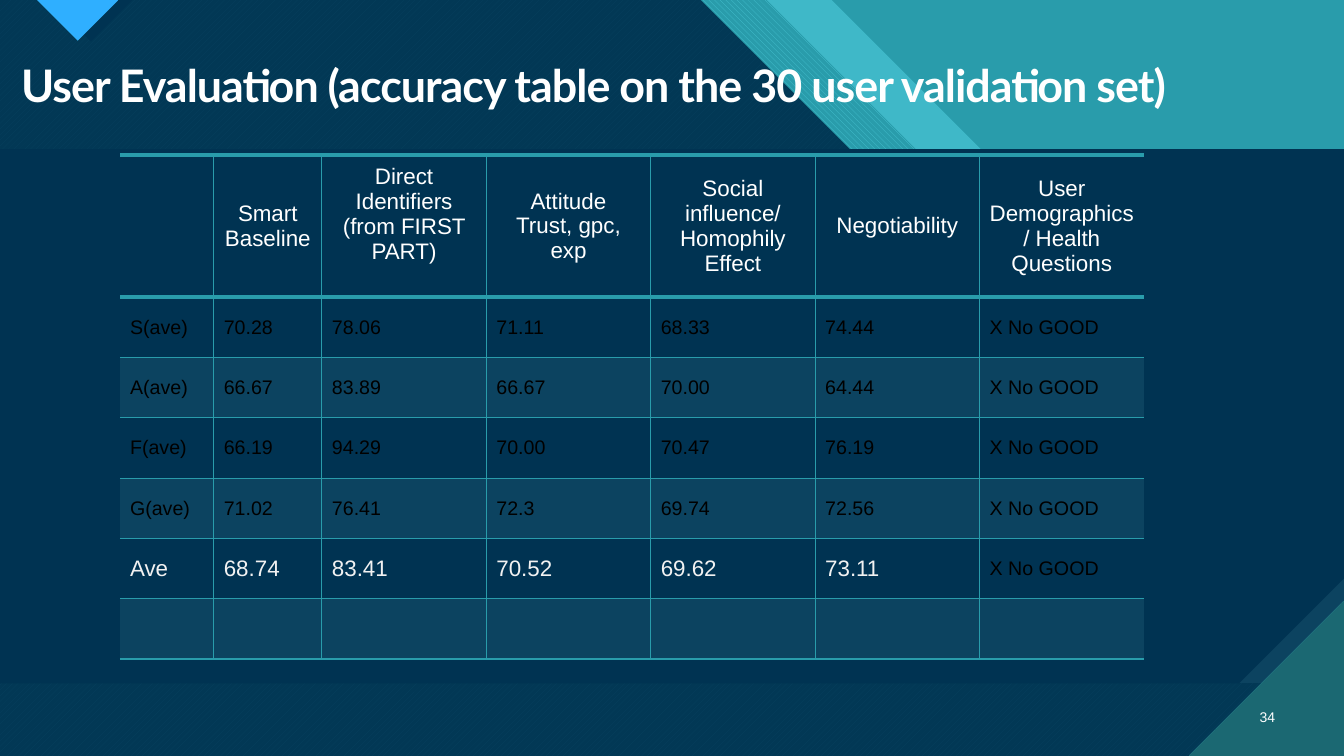
from lxml.etree import SubElement
from pptx import Presentation
from pptx.dml.color import RGBColor
from pptx.enum.dml import MSO_PATTERN
from pptx.enum.shapes import MSO_SHAPE
from pptx.enum.text import MSO_ANCHOR, PP_ALIGN
from pptx.oxml.ns import qn
from pptx.util import Pt

WIDTH, HEIGHT = 960, 540
STEP_DEPTH = 214
PANEL_TOP, PANEL_HEIGHT = 106.5, 381.6

TEAL = RGBColor(0x29, 0x9C, 0xAB)
AQUA = RGBColor(0x47, 0xC3, 0xD3)
PINE = RGBColor(0x1B, 0x68, 0x72)
NAVY = RGBColor(0x00, 0x33, 0x52)
SLATE = RGBColor(0x0C, 0x43, 0x60)
SKY = RGBColor(0x2F, 0xAF, 0xFF)
WHITE = RGBColor(0xFF, 0xFF, 0xFF)
PALE = RGBColor(0xF2, 0xF2, 0xF2)
BLACK = RGBColor(0, 0, 0)

COLUMN_WIDTHS = [67, 77.25] + [117.45] * 5
HEADER_HEIGHT, ROW_HEIGHT = 96.5, 43.1
HEADERS = [
    "",
    "Smart\nBaseline",
    "Direct Identifiers\n(from FIRST PART)",
    "Attitude\nTrust, gpc, exp",
    "Social influence/\nHomophily Effect",
    "Negotiability",
    "User Demographics/ Health Questions",
]
NO_GOOD = "X No GOOD"
ACCURACY = [
    ["S(ave)", "70.28", "78.06", "71.11", "68.33", "74.44", NO_GOOD],
    ["A(ave)", "66.67", "83.89", "66.67", "70.00", "64.44", NO_GOOD],
    ["F(ave)", "66.19", "94.29", "70.00", "70.47", "76.19", NO_GOOD],
    ["G(ave)", "71.02", "76.41", "72.3", "69.74", "72.56", NO_GOOD],
    ["Ave", "68.74", "83.41", "70.52", "69.62", "73.11", NO_GOOD],
    [""] * 7,
]


def paint(shape, color, back=None, pattern=None, opacity=100):
    """Fill a shape with a plain, patterned or see-through colour, without line or shadow."""
    shape.shadow.inherit = False
    shape.line.fill.background()
    if pattern is None:
        shape.fill.solid()
    else:
        shape.fill.patterned()
        shape.fill.pattern = pattern
        shape.fill.back_color.rgb = back
    shape.fill.fore_color.rgb = color
    if opacity < 100:
        tint = shape.element.spPr.find(".//" + qn("a:srgbClr"))
        SubElement(tint, qn("a:alpha"), val=str(opacity * 1000))


def add_polygon(page, corners, color, **fill):
    """Draw a closed outline through corners given in points."""
    first, *others = [(Pt(x), Pt(y)) for x, y in corners]
    builder = page.shapes.build_freeform(*first, scale=1.0)
    builder.add_line_segments(others, close=True)
    paint(builder.convert_to_shape(), color, **fill)


def add_stepped_layer(page, top_end, step_end, color, **fill):
    """Cover the page left of a 45 degree edge that has one level step."""
    corners = [
        (0, 0),
        (top_end, 0),
        (top_end + STEP_DEPTH, STEP_DEPTH),
        (step_end, STEP_DEPTH),
        (WIDTH, STEP_DEPTH + WIDTH - step_end),
        (WIDTH, HEIGHT),
        (0, HEIGHT),
    ]
    add_polygon(page, corners, color, **fill)


def add_panel(page, snip, color, **fill):
    """Draw the wide middle panel with its lower right corner cut off by snip."""
    bottom = PANEL_TOP + PANEL_HEIGHT
    corners = [
        (0, PANEL_TOP),
        (WIDTH, PANEL_TOP),
        (WIDTH, bottom - snip),
        (WIDTH - snip, bottom),
        (0, bottom),
    ]
    add_polygon(page, corners, color, **fill)


def write_text(frame, text, size, color, font="Arial", bold=None, align=PP_ALIGN.LEFT,
               anchor=MSO_ANCHOR.MIDDLE, line_spacing=None, tracking=None):
    """Write one paragraph per line of text in the given format."""
    frame.word_wrap = True
    frame.vertical_anchor = anchor
    for index, line in enumerate(text.split("\n")):
        para = frame.add_paragraph() if index else frame.paragraphs[0]
        para.alignment = align
        para.line_spacing = line_spacing
        span = para.add_run()
        span.text = line
        span.font.name = font
        span.font.size = Pt(size)
        span.font.bold = bold
        span.font.color.rgb = color
        if tracking is not None:
            span.font._element.set("spc", str(int(tracking * 100)))


def add_text(page, left, top, width, height, text, **style):
    """Place a text box."""
    box = page.shapes.add_textbox(Pt(left), Pt(top), Pt(width), Pt(height))
    write_text(box.text_frame, text, **style)


def set_borders(cell, left, right, top, bottom):
    """Give a cell teal borders of these widths; zero means none."""
    properties = cell._tc.get_or_add_tcPr()
    for side, width in zip("LRTB", (left, right, top, bottom)):
        line = SubElement(properties, qn("a:ln" + side), w=str(Pt(width)))
        if width:
            fill = SubElement(line, qn("a:solidFill"))
            SubElement(fill, qn("a:srgbClr"), val=str(TEAL))
        else:
            SubElement(line, qn("a:noFill"))


def add_accuracy_table(page):
    """Build the accuracy table with striped rows and a strong header rule."""
    rows = [HEADERS] + ACCURACY
    heights = [HEADER_HEIGHT] + [ROW_HEIGHT] * len(ACCURACY)
    frame = page.shapes.add_table(len(rows), len(HEADERS), Pt(85.7), Pt(110.9),
                                  Pt(sum(COLUMN_WIDTHS)), Pt(sum(heights)))
    table = frame.table
    table.first_row = table.horz_banding = False
    for column, width in zip(table.columns, COLUMN_WIDTHS):
        column.width = Pt(width)
    last = len(HEADERS) - 1
    for r, texts in enumerate(rows):
        table.rows[r].height = Pt(heights[r])
        for c, text in enumerate(texts):
            cell = table.cell(r, c)
            set_borders(cell, left=int(c > 0), right=int(c < last),
                        top=3 if r < 2 else 1, bottom=1 if r else 3)
            if r and r % 2 == 0:
                cell.fill.solid()
                cell.fill.fore_color.rgb = SLATE
            else:
                cell.fill.background()
            cell.vertical_anchor = MSO_ANCHOR.MIDDLE
            if not text:
                continue
            if r == 0:
                style = dict(size=16, color=WHITE, align=PP_ALIGN.CENTER)
            elif texts[0] == "Ave" and c < last:
                style = dict(size=16, color=PALE)
            else:
                style = dict(size=14, color=BLACK)
            write_text(cell.text_frame, text, **style)
    table.cell(0, 2).margin_bottom = Pt(21)


def add_backdrop(page):
    """Draw the layered diagonal backdrop from back to front."""
    page.background.fill.solid()
    page.background.fill.fore_color.rgb = AQUA
    base = page.shapes.add_shape(MSO_SHAPE.RECTANGLE, 0, 0, Pt(WIDTH), Pt(HEIGHT))
    paint(base, TEAL)
    add_stepped_layer(page, 594, 888.5, AQUA, opacity=74)
    add_stepped_layer(page, 547.5, 852.5, AQUA, back=TEAL,
                      pattern=MSO_PATTERN.WIDE_DOWNWARD_DIAGONAL)
    add_stepped_layer(page, 500.5, 805, AQUA, back=PINE,
                      pattern=MSO_PATTERN.WIDE_UPWARD_DIAGONAL)
    add_stepped_layer(page, 500.5, 805, NAVY, opacity=90)
    add_polygon(page, [(34.5, 0), (94.5, 0), (65, 29.5)], NAVY)
    add_polygon(page, [(26.5, 0), (84.5, 0), (55.5, 29)], SKY, back=PINE,
                pattern=MSO_PATTERN.DARK_HORIZONTAL)
    add_panel(page, 0, SLATE, back=PINE, pattern=MSO_PATTERN.DARK_VERTICAL)
    add_panel(page, 75, NAVY)
    add_polygon(page, [(849, HEIGHT), (WIDTH, HEIGHT), (WIDTH, 429)], PINE, back=AQUA,
                pattern=MSO_PATTERN.DARK_HORIZONTAL)


def main():
    """Build the user evaluation slide and save it."""
    deck = Presentation()
    deck.slide_width, deck.slide_height = Pt(WIDTH), Pt(HEIGHT)
    page = deck.slides.add_slide(deck.slide_layouts[6])
    add_backdrop(page)
    add_text(page, 8, 41.8, 918, 77,
             "User Evaluation (accuracy table on the 30 user validation set)",
             size=32, color=WHITE, font="Lato", bold=True, anchor=MSO_ANCHOR.TOP,
             line_spacing=0.9, tracking=-0.7)
    add_accuracy_table(page)
    add_text(page, 886.3, 497.5, 31.7, 28.8, "34", size=10, color=WHITE,
             align=PP_ALIGN.RIGHT)
    deck.save("out.pptx")


main()
